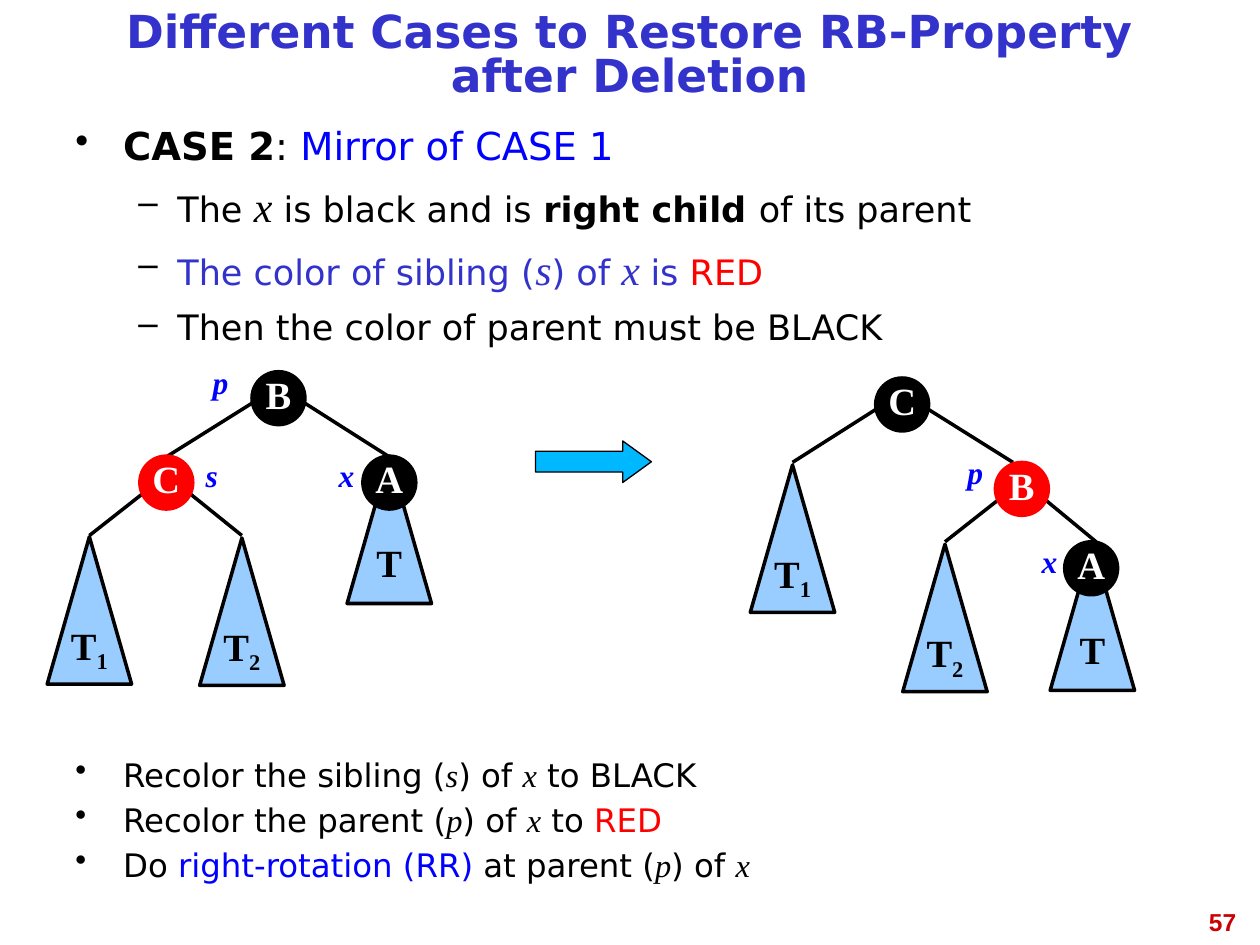
import pptx
import pptx.util
import pptx.dml.color
import pptx.enum.shapes
import pptx.enum.text
import lxml.etree

Inch, Pt = pptx.util.Inches, pptx.util.Pt
Kind = pptx.enum.shapes.MSO_SHAPE
Align = pptx.enum.text.PP_ALIGN
Anchor = pptx.enum.text.MSO_ANCHOR
SANS, SERIF = "DejaVu Sans", "Times New Roman"
BLACK, WHITE, RED, BLUE, INDIGO = "000000", "FFFFFF", "FF0000", "0000FF", "3333CC"

# Content: a run is plain text or (text, changes to the paragraph's font)
TITLE = "Different Cases to Restore RB-Property after Deletion"
VAR = {"name": SERIF, "italic": True}
BIG = {**VAR, "size": 24}
TOP = {"size": 22, "left": 0.38, "hang": 0.38, "mark": "•", "before": 8}
SUB = {"size": 20, "left": 0.81, "hang": 0.31, "mark": "–", "before": 7}
STEP = {**TOP, "size": 18.5, "lead": 0.8}
CASE = [
    (TOP, BLACK, [("CASE 2", {"bold": True}), ": ",
                  ("Mirror of CASE 1", {"color": BLUE})]),
    (SUB, BLACK, ["The ", ("x", BIG), " is black and is ",
                  ("right child ", {"bold": True}), "of its parent"]),
    (SUB, INDIGO, ["The color of sibling (", ("s", BIG), ") of ", ("x ", BIG),
                   "is ", ("RED", {"color": RED})]),
    (SUB, BLACK, ["Then the color of parent must be BLACK"]),
]
STEPS = [
    (STEP, BLACK, ["Recolor the sibling (", ("s", VAR), ") of ", ("x", VAR), " to BLACK"]),
    (STEP, BLACK, ["Recolor the parent (", ("p", VAR), ") of ", ("x", VAR), " to ",
                   ("RED", {"color": RED})]),
    (STEP, BLACK, ["Do ", ("right-rotation (RR)", {"color": BLUE}), " at parent (",
                   ("p", VAR), ") of ", ("x", VAR)]),
]

# Trees: nodes by centre, subtrees by apex, labels by centre
NODES = [
    ("B", 2.21, 3.16, BLACK), ("C", 1.32, 3.83, RED), ("A", 3.09, 3.83, BLACK),
    ("C", 7.16, 3.21, BLACK), ("B", 8.11, 3.88, RED), ("A", 8.66, 4.51, BLACK),
]
SUBTREES = [
    ("T", "1", 0.71, 4.26), ("T", "2", 1.92, 4.27), ("T", "", 3.09, 3.62),
    ("T", "1", 6.29, 3.69), ("T", "2", 7.5, 4.32), ("T", "", 8.67, 4.31),
]
LABELS = [("p", 1.75, 3.03), ("s", 1.68, 3.77), ("x", 2.75, 3.77),
          ("p", 7.74, 3.75), ("x", 8.33, 4.45)]
# Edges: parent's index in NODES, then the child's end
EDGES = [(0, 1.33, 3.62), (0, 3.08, 3.62), (1, 0.71, 4.25), (1, 1.92, 4.25),
         (3, 6.29, 3.67), (3, 8.04, 3.67), (4, 7.5, 4.3), (4, 8.7, 4.3)]
DIAM, WIDE, TALL = 0.42, 0.67, 1.17
PORT = {BLACK: (0.21, 0.04), RED: (0.19, 0.09)}  # where edges leave a node

deck = pptx.Presentation()
deck.slide_width, deck.slide_height = Inch(10), Inch(7.5)
slide = deck.slides.add_slide(deck.slide_layouts[6])
shapes = slide.shapes


def rgb(code):
    return pptx.dml.color.RGBColor.from_string(code)


def style(font, size=None, color=None, **rest):
    if size:
        font.size = Pt(size)
    if color:
        font.color.rgb = rgb(color)
    for key, value in rest.items():
        setattr(font, key, value)


def bullet(para, left, hang, mark):
    props = para._p.get_or_add_pPr()
    props.set("marL", str(Inch(left)))
    props.set("indent", str(-Inch(hang)))
    tint = lxml.etree.SubElement(props, pptx.oxml.ns.qn("a:buClr"))
    lxml.etree.SubElement(tint, pptx.oxml.ns.qn("a:srgbClr")).set("val", BLACK)
    lxml.etree.SubElement(props, pptx.oxml.ns.qn("a:buChar")).set("char", mark)


def text_box(x, y, w, h):
    frame = shapes.add_textbox(Inch(x), Inch(y), Inch(w), Inch(h)).text_frame
    frame.word_wrap = True
    return frame


def line(frame, words, align, **font):
    para = frame.paragraphs[0]
    para.text, para.alignment = words, align
    style(para.font, **font)
    return para


def bullets(box, rows):
    frame = text_box(*box)
    for i, (look, color, runs) in enumerate(rows):
        para = frame.add_paragraph() if i else frame.paragraphs[0]
        bullet(para, look["left"], look["hang"], look["mark"])
        para.alignment = Align.JUSTIFY
        para.line_spacing = look.get("lead", 1.0)
        para.space_before = Pt(look["before"] if i else 0)
        style(para.font, name=SANS, size=look["size"], color=color)
        for item in runs:
            words, change = (item, {}) if isinstance(item, str) else item
            run = para.add_run()
            run.text = words
            style(run.font, **change)


def solid(kind, x, y, w, h, fill, edge, width=2):
    shape = shapes.add_shape(kind, Inch(x), Inch(y), Inch(w), Inch(h))
    shape.shadow.inherit = False
    shape.fill.solid()
    shape.fill.fore_color.rgb = rgb(fill)
    shape.line.color.rgb = rgb(edge)
    shape.line.width = Pt(width)
    return shape


def letter(shape, words, color):
    frame = shape.text_frame
    frame.word_wrap = False
    frame.vertical_anchor = Anchor.MIDDLE
    para = line(frame, words, Align.CENTER, name=SERIF, size=22, bold=True, color=color)
    para.line_spacing = 0.81
    return para


# Title, text and page number
head = text_box(0.5, 0.08, 9, 0.75)
head.vertical_anchor = Anchor.MIDDLE
line(head, TITLE, Align.CENTER, name=SANS, size=26, bold=True, color=INDIGO).line_spacing = 0.81
bullets((0.5, 0.92, 9, 1.92), CASE)
bullets((0.5, 6, 9, 1.25), STEPS)
line(text_box(7.58, 7.15, 2.33, 0.52), "57", Align.RIGHT,
     name="Arial", size=14, bold=True, color="CC0000")

# Edges
for top, x, y in EDGES:
    _, cx, cy, fill = NODES[top]
    dx, dy = PORT[fill]
    start = cx + (dx if x > cx else -dx)
    edge = shapes.add_connector(pptx.enum.shapes.MSO_CONNECTOR.STRAIGHT,
                                Inch(start), Inch(cy + dy), Inch(x), Inch(y))
    edge.line.color.rgb = rgb(BLACK)
    edge.line.width = Pt(2)
    lxml.etree.SubElement(edge._element.spPr, pptx.oxml.ns.qn("a:effectLst"))

# Subtrees
for name, index, x, y in SUBTREES:
    tree = solid(Kind.ISOSCELES_TRIANGLE, x - WIDE / 2, y, WIDE, TALL, "99CCFF", BLACK)
    para = letter(tree, name, BLACK)
    if index:
        run = para.add_run()
        run.text = index
        run.font._element.set("baseline", "-25000")

# Nodes
for name, x, y, fill in NODES:
    node = solid(Kind.OVAL, x - DIAM / 2, y - DIAM / 2, DIAM, DIAM, fill, fill)
    letter(node, name, WHITE)

# Labels
for name, x, y in LABELS:
    line(text_box(x - 0.25, y - 0.2, 0.5, 0.4), name, Align.CENTER,
         name=SERIF, size=18, bold=True, italic=True, color=BLUE)

# Arrow between the trees
arrow = solid(Kind.RIGHT_ARROW, 4.25, 3.5, 0.92, 0.33, "00B8FF", BLACK, 0.75)
arrow.adjustments[1] = 0.69

deck.save("out.pptx")
